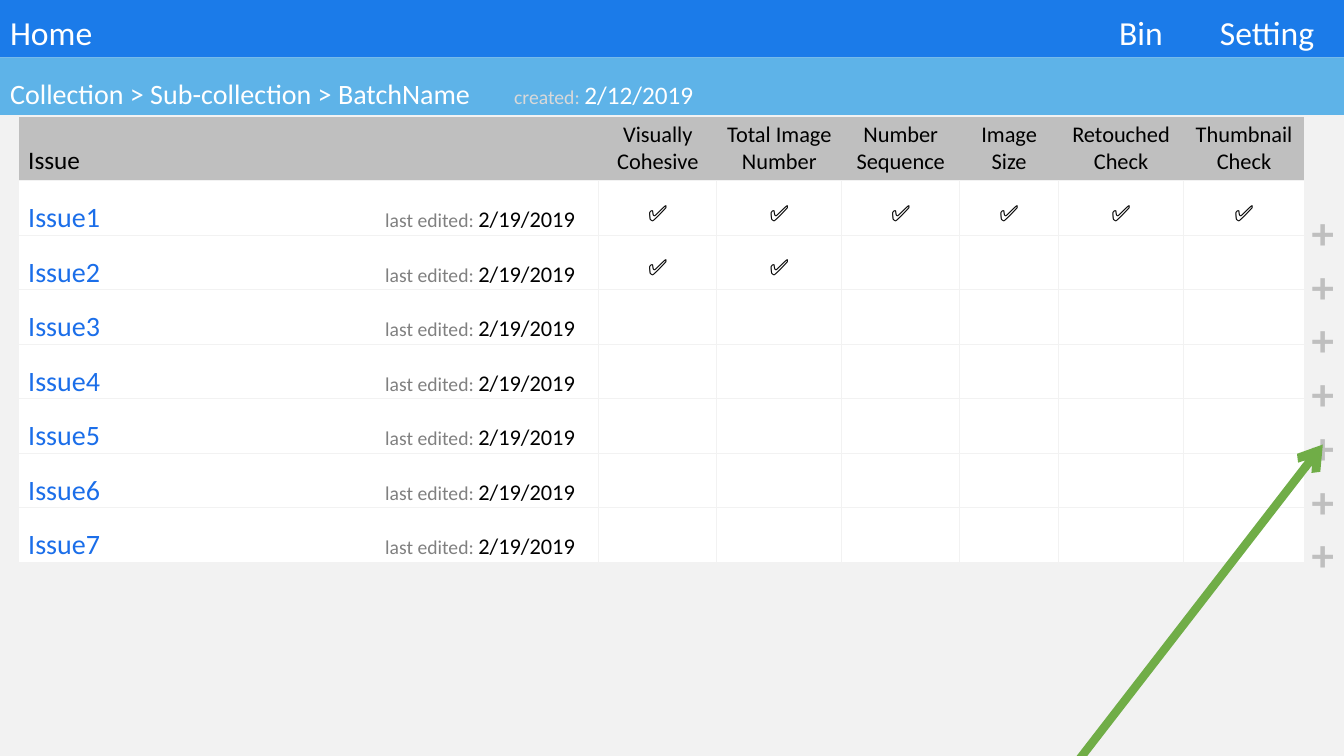
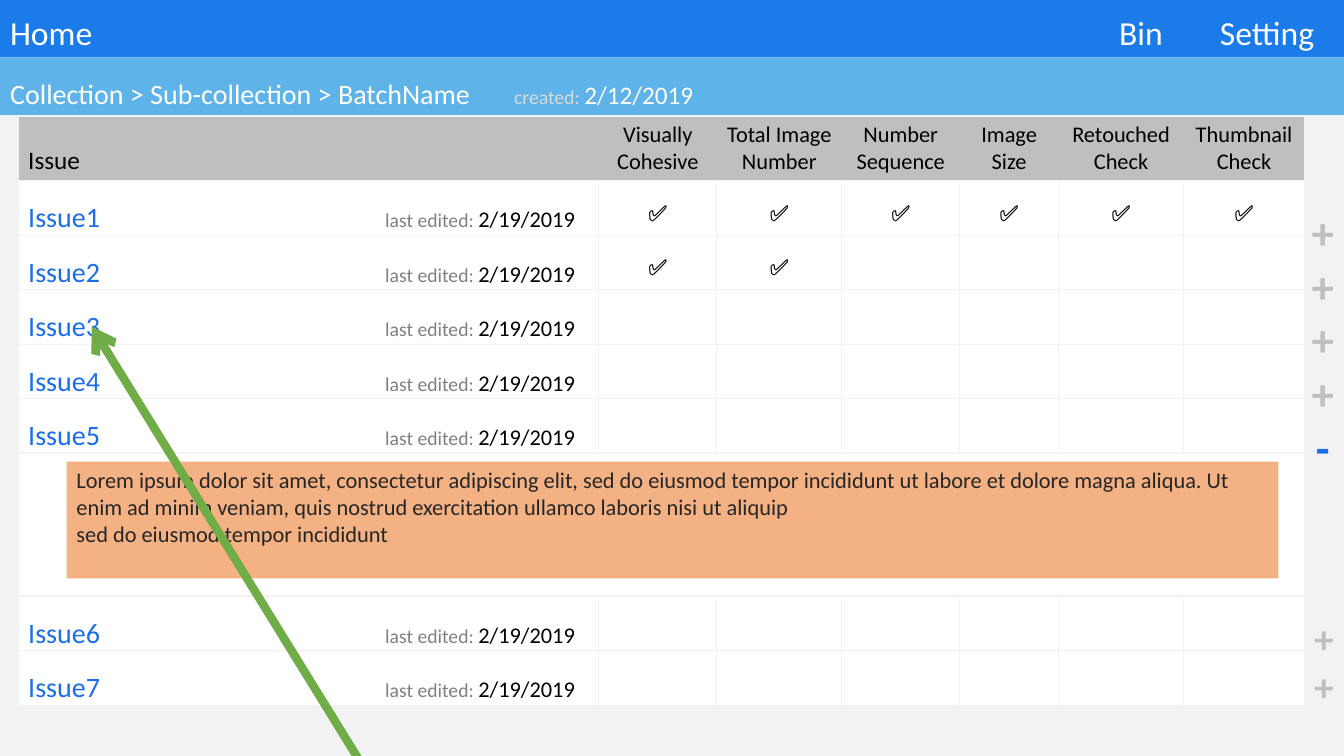
from dataclasses import dataclass
from typing import Any, NamedTuple, Optional

from lxml import etree
from pptx import Presentation
from pptx.dml.color import RGBColor
from pptx.enum.shapes import MSO_CONNECTOR, MSO_SHAPE
from pptx.enum.text import MSO_ANCHOR, MSO_AUTO_SIZE, PP_ALIGN
from pptx.oxml.ns import qn
from pptx.util import Inches, Pt

LEFT, CENTER = PP_ALIGN.LEFT, PP_ALIGN.CENTER
TOP, BOTTOM = MSO_ANCHOR.TOP, MSO_ANCHOR.BOTTOM
FIXED = MSO_AUTO_SIZE.NONE
RECT, LINE = MSO_SHAPE.RECTANGLE, MSO_CONNECTOR.STRAIGHT

COLORS = {
    "page": "F2F2F2", "bar": "1B7BE9", "crumb": "5EB3E8", "head": "BFBFBF",
    "white": "FFFFFF", "black": "000000", "link": "1B6EE9", "label": "808080",
    "pale": "D9D9D9", "sign": "BFBFBF", "note": "F4B183", "ink": "262626",
    "arrow": "70AD47",
}
WIDE, HIGH = 13.33, 7.5
BAR = 0.57
PLAIN = "{2D5ABB26-0587-4C30-8999-92F81FD0307C}"  # table style without grid

# Issue table
HEADS = ["Issue", "Visually Cohesive", "Total Image Number", "Number Sequence",
         "Image Size", "Retouched Check", "Thumbnail Check"]
COLS = [5.76, 1.17, 1.24, 1.17, 0.98, 1.24, 1.2]
HEAD_ROW, ISSUE_ROW, NOTE_ROW = 0.64, 0.54, 1.42
ISSUES = 7
CHECKS = {1: 6, 2: 2}  # issue number: finished checks
NOTE = [
    "Lorem ipsum dolor sit amet, consectetur adipiscing elit, sed do eiusmod "
    "tempor incididunt ut labore et dolore magna aliqua. Ut enim ad minim "
    "veniam, quis nostrud exercitation ullamco laboris nisi ut aliquip",
    "sed do eiusmod tempor incididunt",
]


class Bit(NamedTuple):
    text: str
    size: float
    color: str
    font: str = "Calibri"
    bold: bool = False


class Signs(NamedTuple):
    left: float
    top: float
    height: float
    size: float
    marks: str
    pitch: Optional[float] = None


@dataclass
class Screen:
    signs: list[Signs]
    start: tuple[float, float]
    end: tuple[float, float]
    opened: int = 0  # issue whose note is shown


SCREENS = [
    Screen([Signs(12.91, 1.98, 4.27, 32, "+++++++", 38.4)],
           (9.88, 8.6), (13.12, 4.41)),
    Screen([Signs(12.91, 1.98, 4.27, 32, "++++-", 38.4),
            Signs(12.92, 6.05, 1.04, 28, "++")],
           (3.9, 8.09), (0.91, 3.24), opened=5),
]


def rgb(name: str) -> RGBColor:
    return RGBColor.from_string(COLORS[name])


def put(item: Any, **values: Any) -> None:
    for name, value in values.items():
        setattr(item, name, value)


def paint(item: Any, color: str) -> None:
    item.fill.solid()
    item.fill.fore_color.rgb = rgb(color)


def place(shape: Any, left: float, top: float, width: float, height: float) -> None:
    put(shape, left=Inches(left), top=Inches(top),
        width=Inches(width), height=Inches(height))


def write(par: Any, bits: list[Bit], align: Any = LEFT,
          tabs: tuple[float, ...] = ()) -> None:
    par.alignment = align
    for bit in bits:
        run = par.add_run()
        run.text = bit.text
        put(run.font, size=Pt(bit.size), name=bit.font, bold=bit.bold)
        run.font.color.rgb = rgb(bit.color)
    if tabs:
        stops = etree.SubElement(par._p.get_or_add_pPr(), qn("a:tabLst"))
        for tab in tabs:
            etree.SubElement(stops, qn("a:tab"), pos=str(Inches(tab)), algn="l")


def lines(frame: Any, rows: list[Bit], align: Any = LEFT,
          pitch: Optional[float] = None) -> None:
    for i, bit in enumerate(rows):
        par = frame.add_paragraph() if i else frame.paragraphs[0]
        write(par, [bit], align)
        if pitch:
            par.line_spacing = Pt(pitch)


def band(shape: Any, top: float, color: str, bits: list[Bit],
         tabs: tuple[float, ...]) -> None:
    place(shape, 0, top, WIDE, BAR)
    paint(shape, color)
    put(shape.text_frame, vertical_anchor=BOTTOM, auto_size=FIXED, word_wrap=True)
    write(shape.text_frame.paragraphs[0], bits, LEFT, tabs)


def edge(cell: Any, sides: str, points: float) -> None:
    # Borders have to precede the cell's fill
    props = cell._tc.get_or_add_tcPr()
    for side in sides:
        line = etree.SubElement(props, qn(f"a:ln{side}"), w=str(Pt(points)))
        fill = etree.SubElement(line, qn("a:solidFill"))
        etree.SubElement(fill, qn("a:srgbClr"), val=COLORS["page"])


def dress(row: Any, color: str, points: float, inner: bool) -> None:
    last = len(COLS) - 1
    for i, cell in enumerate(row.cells):
        left = "L" if inner or i == 0 else ""
        right = "R" if inner or i == last else ""
        edge(cell, left + right + "TB", points)
        paint(cell, color)


def fill_issue(row: Any, num: int) -> None:
    cells = list(row.cells)
    done = CHECKS.get(num, 0)
    for cell in cells[:done + 1]:
        put(cell, margin_top=Inches(0.2), margin_bottom=0)
    write(cells[0].text_frame.paragraphs[0], [
        Bit(f"Issue{num}\t", 20, "link"),
        Bit("last edited: ", 14, "label"),
        Bit("2/19/2019", 16, "black"),
    ], LEFT, (3.54,))
    for cell in cells[1:done + 1]:
        write(cell.text_frame.paragraphs[0],
              [Bit("✅", 16, "black", "Karla")], CENTER)


def add_issues(slide: Any, opened: int) -> None:
    # Zero stands for the row that holds the note
    nums = list(range(1, ISSUES + 1))
    if opened:
        nums.insert(opened, 0)
    highs = [HEAD_ROW] + [ISSUE_ROW if num else NOTE_ROW for num in nums]
    frame = slide.shapes.add_table(
        len(highs), len(COLS), Inches(0.18), Inches(1.15),
        Inches(sum(COLS)), Inches(sum(highs)))
    table = frame.table
    put(table, first_row=False, horz_banding=False)
    table._tbl.tblPr.find(qn("a:tableStyleId")).text = PLAIN
    for col, width in zip(table.columns, COLS):
        col.width = Inches(width)
    rows = list(table.rows)
    for row, high in zip(rows, highs):
        row.height = Inches(high)

    dress(rows[0], "head", 1, False)
    for i, (cell, text) in enumerate(zip(rows[0].cells, HEADS)):
        write(cell.text_frame.paragraphs[0],
              [Bit(text, 16 if i else 18, "black")], CENTER if i else LEFT)
    rows[0].cells[0].vertical_anchor = BOTTOM

    for row, num in zip(rows[1:], nums):
        dress(row, "white", 1 if num else 1.5, bool(num))
        if num:
            fill_issue(row, num)


def add_signs(slide: Any, signs: Signs) -> None:
    box = slide.shapes.add_textbox(Inches(signs.left), Inches(signs.top),
                                   Inches(0.42), Inches(signs.height))
    box.text_frame.word_wrap = True
    marks = [Bit(mark, signs.size, "link" if mark == "-" else "sign", bold=True)
             for mark in signs.marks]
    lines(box.text_frame, marks, CENTER, signs.pitch)


def add_note(slide: Any) -> None:
    note = slide.shapes.add_shape(RECT, Inches(0.66), Inches(4.58),
                                  Inches(12.02), Inches(1.16))
    note.shadow.inherit = False
    paint(note, "note")
    note.line.fill.background()
    put(note.text_frame, vertical_anchor=TOP, word_wrap=True)
    lines(note.text_frame, [Bit(text, 16, "ink") for text in NOTE])


def add_arrow(slide: Any, start: tuple[float, float],
              end: tuple[float, float]) -> None:
    ends = [Inches(value) for value in start + end]
    arrow = slide.shapes.add_connector(LINE, *ends)
    arrow.line.color.rgb = rgb("arrow")
    arrow.line.width = Pt(6)
    etree.SubElement(arrow.line._get_or_add_ln(), qn("a:tailEnd"), type="arrow")
    etree.SubElement(arrow._element.spPr, qn("a:effectLst"))


def build(deck: Any, screen: Screen) -> None:
    slide = deck.slides.add_slide(deck.slide_layouts[0])
    paint(slide.background, "page")
    # Navigation bands
    band(slide.shapes.title, 0, "bar",
         [Bit("Home\tBin\tSetting", 24, "white")], (11, 12))
    band(slide.placeholders[1], BAR, "crumb", [
        Bit("Collection > Sub-collection > BatchName\t", 20, "white"),
        Bit("created: ", 14, "pale"),
        Bit("2/12/2019", 18, "white"),
    ], (11,))
    # Issues and their details
    add_issues(slide, screen.opened)
    for signs in screen.signs:
        add_signs(slide, signs)
    if screen.opened:
        add_note(slide)
    add_arrow(slide, screen.start, screen.end)


def main() -> None:
    deck = Presentation()
    put(deck, slide_width=Inches(WIDE), slide_height=Inches(HIGH))
    for screen in SCREENS:
        build(deck, screen)
    deck.save("out.pptx")


if __name__ == "__main__":
    main()
